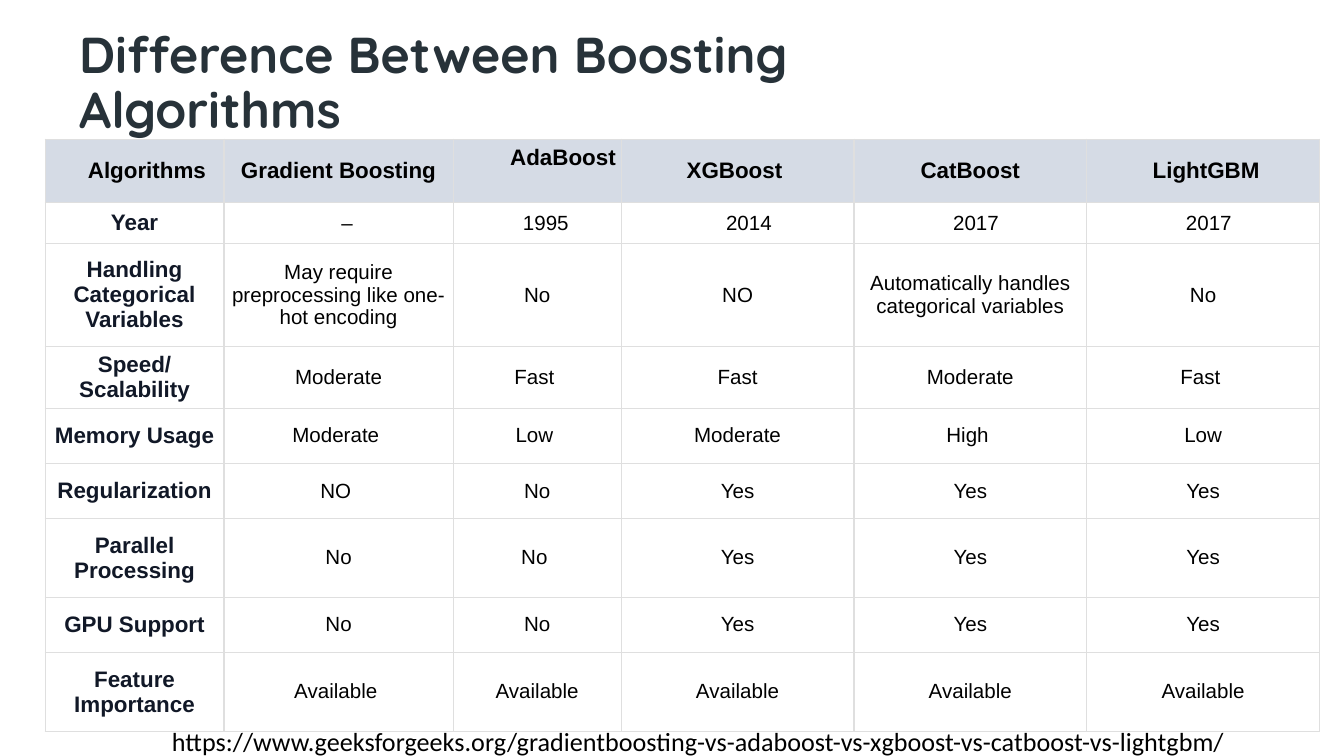
from dataclasses import dataclass
from typing import NamedTuple

from lxml.etree import SubElement
from pptx import Presentation
from pptx.dml.color import RGBColor
from pptx.enum.text import MSO_ANCHOR as Anchor, PP_ALIGN as Align
from pptx.oxml.ns import qn
from pptx.util import Pt


@dataclass(frozen=True)
class Theme:
    title: str = "273239"
    label: str = "111827"
    ink: str = "000000"
    header: str = "D5DBE5"
    border: str = "DFDFDF"
    title_size: float = 27
    link_size: float = 14
    label_size: float = 12
    value_size: float = 11
    border_width: float = 0.75
    title_font: str = "Quicksand"
    table_font: str = "Arial"
    link_font: str = "Calibri"


class Area(NamedTuple):
    left: float
    top: float
    width: float
    height: float


class TextStyle(NamedTuple):
    font: str
    size: float
    color: str
    bold: bool = False


class Entry(NamedTuple):
    text: str
    shift: float = 0
    align: Align = Align.CENTER
    lift: float = 0


class Insets(NamedTuple):
    side: float
    edge: float


class Row(NamedTuple):
    height: float
    entries: list


THEME = Theme()
TITLE = TextStyle(THEME.title_font, THEME.title_size, THEME.title, True)
HEADER = TextStyle(THEME.table_font, THEME.label_size, THEME.ink, True)
LABEL = TextStyle(THEME.table_font, THEME.label_size, THEME.label, True)
VALUE = TextStyle(THEME.table_font, THEME.value_size, THEME.ink)
LINK = TextStyle(THEME.link_font, THEME.link_size, THEME.ink)

BOX_INSETS = Insets(5.04, 2.88)
COLUMN_WIDTHS = [95.8, 122.8, 90, 124.7, 124.7, 124.7]
ROWS = [
    Row(33.2, [Entry("Algorithms", 13.3), "Gradient Boosting",
               Entry("AdaBoost", align=Align.RIGHT, lift=13.8),
               Entry("XGBoost", -3.3), "CatBoost", Entry("LightGBM", 3.3)]),
    Row(20.9, ["Year", Entry("–", 9.2), Entry("1995", 9.2), Entry("2014", 12.2),
               Entry("2017", 6.1), Entry("2017", 6.1)]),
    Row(55.2, ["Handling Categorical Variables",
               "May require preprocessing like one-hot encoding",
               "No", "NO", "Automatically handles categorical variables", "No"]),
    Row(31.6, ["Speed/Scalability", "Moderate", Entry("Fast", -3),
               "Fast", "Moderate", Entry("Fast", -3)]),
    Row(29.5, ["Memory Usage", Entry("Moderate", -3), Entry("Low", -3),
               "Moderate", Entry("High", -3), "Low"]),
    Row(29.5, ["Regularization", Entry("NO", -3), "No", "Yes", "Yes", "Yes"]),
    Row(42.3, ["Parallel Processing", "No", Entry("No", -3), "Yes", "Yes", "Yes"]),
    Row(29.5, ["GPU Support", "No", "No", "Yes", "Yes", "Yes"]),
    Row(42.3, ["Feature Importance", Entry("Available", -3)] + ["Available"] * 4),
]


def set_all(target, values: dict) -> None:
    for name, value in values.items():
        setattr(target, name, value)


def write(frame, text: str, style: TextStyle, align=None, spacing=None) -> None:
    para = frame.paragraphs[0]
    set_all(para, {"alignment": align, "line_spacing": spacing})
    span = para.add_run()
    span.text = text
    set_all(span.font, {"name": style.font, "size": Pt(style.size), "bold": style.bold})
    span.font.color.rgb = RGBColor.from_string(style.color)


def add_text(page, area: Area, text: str, style: TextStyle,
             anchor=Anchor.TOP, spacing=None) -> None:
    box = page.shapes.add_textbox(*map(Pt, area))
    side, edge = map(Pt, BOX_INSETS)
    set_all(box.text_frame, {
        "word_wrap": True, "vertical_anchor": anchor,
        "margin_left": side, "margin_right": side,
        "margin_top": edge, "margin_bottom": edge,
    })
    write(box.text_frame, text, style, spacing=spacing)


def add_borders(cell) -> None:
    properties = cell._tc.get_or_add_tcPr()
    for side in ("L", "R", "T", "B"):
        line = SubElement(properties, qn(f"a:ln{side}"), w=str(Pt(THEME.border_width)))
        fill = SubElement(line, qn("a:solidFill"))
        SubElement(fill, qn("a:srgbClr"), val=THEME.border)


def fill_cell(cell, entry: Entry, style: TextStyle, insets: Insets, fill=None) -> None:
    set_all(cell, {
        "vertical_anchor": Anchor.MIDDLE,
        "margin_left": Pt(insets.side + max(entry.shift, 0)),
        "margin_right": Pt(insets.side + max(-entry.shift, 0)),
        "margin_top": Pt(insets.edge),
        "margin_bottom": Pt(insets.edge + entry.lift),
    })
    add_borders(cell)
    if fill:
        cell.fill.solid()
        cell.fill.fore_color.rgb = RGBColor.from_string(fill)
    else:
        cell.fill.background()
    write(cell.text_frame, entry.text, style, entry.align)


def add_comparison(page, left: float, top: float) -> None:
    area = Area(left, top, sum(COLUMN_WIDTHS), sum(row.height for row in ROWS))
    table = page.shapes.add_table(
        len(ROWS), len(COLUMN_WIDTHS), *map(Pt, area)).table
    set_all(table, {"first_row": False, "horz_banding": False})
    for column, width in zip(table.columns, COLUMN_WIDTHS):
        column.width = Pt(width)
    for row_index, row in enumerate(ROWS):
        table.rows[row_index].height = Pt(row.height)
        is_header = row_index == 0
        for column_index, content in enumerate(row.entries):
            is_label = column_index == 0
            entry = content if isinstance(content, Entry) else Entry(content)
            side = 1.44 if is_label else 2.88
            if is_header:
                style, edge = HEADER, 2.88
            else:
                style, edge = (LABEL, 2.16) if is_label else (VALUE, 4.32)
            fill_cell(table.cell(row_index, column_index), entry, style,
                      Insets(side, edge), THEME.header if is_header else None)


def main() -> None:
    deck = Presentation()
    set_all(deck, {"slide_width": Pt(720), "slide_height": Pt(405)})
    page = deck.slides.add_slide(deck.slide_layouts[6])
    add_text(page, Area(37.4, 15.8, 465.8, 59), "Difference Between Boosting Algorithms",
             TITLE, Anchor.MIDDLE, 0.9)
    add_comparison(page, 24.2, 74.6)
    add_text(page, Area(87.1, 385.9, 583.2, 21.6),
             "https://www.geeksforgeeks.org/"
             "gradientboosting-vs-adaboost-vs-xgboost-vs-catboost-vs-lightgbm/", LINK)
    deck.save("out.pptx")


if __name__ == "__main__":
    main()
